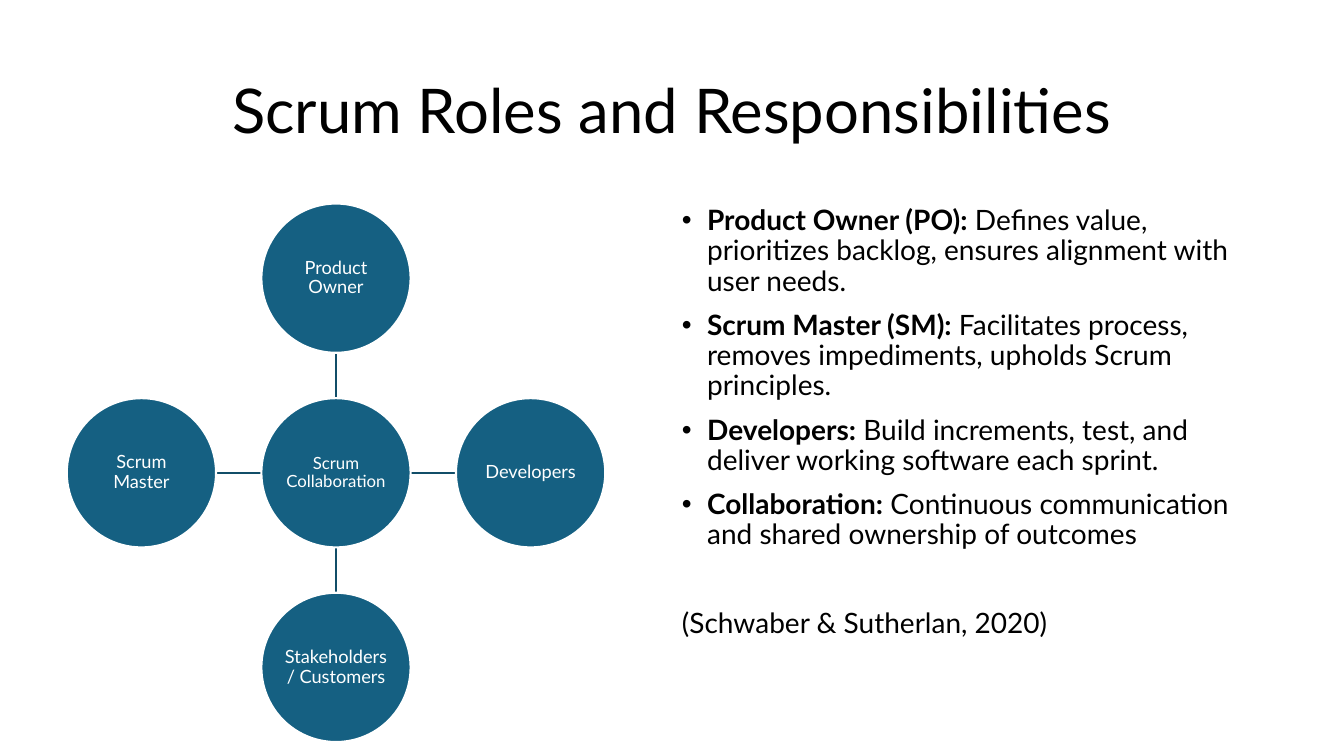
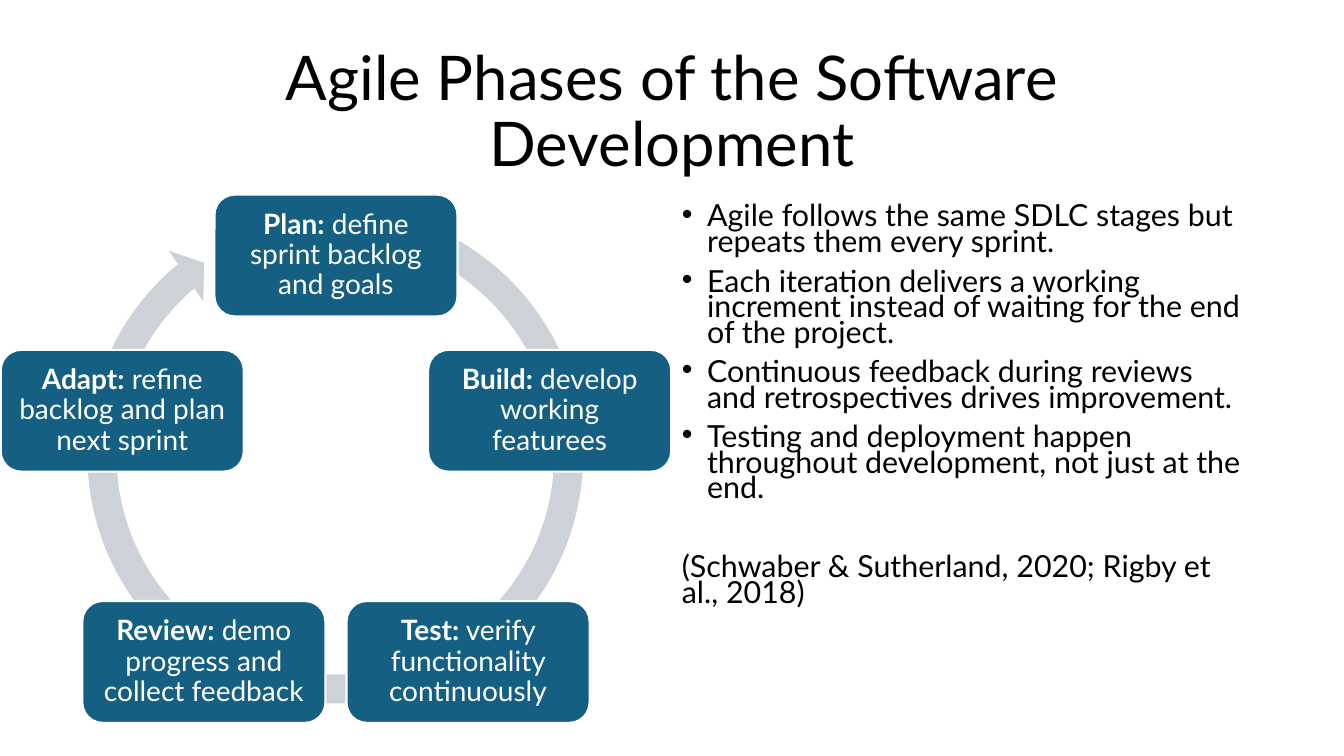
from math import cos, radians, sin

from pptx import Presentation
from pptx.dml.color import RGBColor
from pptx.enum.shapes import MSO_CONNECTOR, MSO_SHAPE
from pptx.enum.text import MSO_ANCHOR, PP_ALIGN
from pptx.oxml.ns import qn
from pptx.util import Pt
from lxml.etree import SubElement

FONT = "Lato"
BLACK = RGBColor(0x00, 0x00, 0x00)
WHITE = RGBColor(0xFF, 0xFF, 0xFF)
BLUE = RGBColor(0x15, 0x60, 0x82)
NAVY = RGBColor(0x11, 0x4D, 0x68)
GREY = RGBColor(0xCC, 0xD2, 0xD8)


def write(para, runs, size, color, space=0.9, align=PP_ALIGN.LEFT):
    para.alignment = align
    para.line_spacing = space
    for text, bold in runs:
        run = para.add_run()
        run.text = text
        run.font.name = FONT
        run.font.size = Pt(size)
        run.font.bold = bold
        run.font.color.rgb = color


def node(slide, kind, mid, dims, runs, size, inset):
    x, y = mid
    w, h = dims
    shape = slide.shapes.add_shape(kind, Pt(x - w / 2), Pt(y - h / 2), Pt(w), Pt(h))
    shape.shadow.inherit = False
    shape.fill.solid()
    shape.fill.fore_color.rgb = BLUE
    shape.line.color.rgb = WHITE
    shape.line.width = Pt(1.5)
    frame = shape.text_frame
    frame.word_wrap = True
    frame.vertical_anchor = MSO_ANCHOR.MIDDLE
    frame.margin_left = frame.margin_right = Pt(inset)
    frame.margin_top = frame.margin_bottom = Pt(inset)
    write(frame.paragraphs[0], runs, size, WHITE, align=PP_ALIGN.CENTER)


deck = Presentation()
deck.slide_width, deck.slide_height = Pt(960), Pt(540)

ROLES = [
    [("Product Owner (PO):", True),
     (" Defines value, prioritizes backlog, ensures alignment with user needs.", False)],
    [("Scrum Master (SM):", True),
     (" Facilitates process, removes impediments, upholds Scrum principles.", False)],
    [("Developers:", True),
     (" Build increments, test, and deliver working software each sprint.", False)],
    [("Collaboration:", True),
     (" Continuous communication and shared ownership of outcomes", False)],
]
POINTS = [
    [("Agile follows the same SDLC stages but repeats them every sprint.", False)],
    [("Each iteration delivers a working increment instead of waiting for the end "
      "of the project.", False)],
    [("Continuous feedback during reviews and retrospectives drives improvement.", False)],
    [("Testing and deployment happen throughout development, not just at the end.", False)],
]
PAGES = [
    ("Scrum Roles and Responsibilities", ROLES,
     "(Schwaber & Sutherlan, 2020)", 20, 0.9),
    ("Agile Phases of the Software Development", POINTS,
     "(Schwaber & Sutherland, 2020; Rigby et al., 2018)", 21.7, 0.7),
]

slides = []
for title, items, source, size, space in PAGES:
    slide = deck.slides.add_slide(deck.slide_layouts[6])
    slides.append(slide)

    head = slide.shapes.add_textbox(Pt(66), Pt(29), Pt(828), Pt(104)).text_frame
    head.word_wrap = True
    head.vertical_anchor = MSO_ANCHOR.MIDDLE
    write(head.paragraphs[0], [(title, False)], 44, BLACK, align=PP_ALIGN.CENTER)

    body = slide.shapes.add_textbox(Pt(480), Pt(144), Pt(414), Pt(340)).text_frame
    body.word_wrap = True
    for i, runs in enumerate(items):
        para = body.paragraphs[0] if i == 0 else body.add_paragraph()
        write(para, runs, size, BLACK, space)
        para.space_before = Pt(10)
        props = para._p.get_or_add_pPr()
        props.set("marL", str(Pt(18)))
        props.set("indent", str(-Pt(18)))
        SubElement(props, qn("a:buFont")).set("typeface", "Arial")
        SubElement(props, qn("a:buChar")).set("char", "•")
    para = body.add_paragraph()
    write(para, [(source, False)], size, BLACK, space)
    para.space_before = Pt(20 + size * 1.2 * space)

team, cycle = slides

HUB_X, HUB_Y, STEP, DIAM = 240, 337.7, 139, 106.6
SPOKES = [
    ("Product Owner", 0, -1),
    ("Developers", 1, 0),
    ("Stakeholders / Customers", 0, 1),
    ("Scrum Master", -1, 0),
]
near, far = DIAM / 2, STEP - DIAM / 2
for name, dx, dy in SPOKES:
    link = team.shapes.add_connector(
        MSO_CONNECTOR.STRAIGHT,
        Pt(HUB_X + dx * near), Pt(HUB_Y + dy * near),
        Pt(HUB_X + dx * far), Pt(HUB_Y + dy * far))
    link.line.color.rgb = NAVY
    link.line.width = Pt(1.5)
    SubElement(link._element.spPr, qn("a:effectLst"))
for name, dx, dy in [("Scrum Collaboration", 0, 0)] + SPOKES:
    node(team, MSO_SHAPE.OVAL, (HUB_X + dx * STEP, HUB_Y + dy * STEP), (DIAM, DIAM),
         [(name, False)], 13 if dx or dy else 12, 0.5)

ring = cycle.shapes.add_shape(MSO_SHAPE.CIRCULAR_ARROW, Pt(51), Pt(137), Pt(377), Pt(377))
ring.shadow.inherit = False
ring.fill.solid()
ring.fill.fore_color.rgb = GREY
ring.line.fill.background()
for i, value in enumerate([0.055, 3.307, 138.16, 173.616, 0.058]):
    ring.adjustments[i] = value

MID_X, MID_Y, RADIUS = 240, 343, 160.5
PHASES = [
    ("Plan:", " define sprint backlog and goals"),
    ("Build:", " develop working featurees"),
    ("Test:", " verify functionality continuously"),
    ("Review:", " demo progress and collect feedback"),
    ("Adapt:", " refine backlog and plan next sprint"),
]
for i, (name, task) in enumerate(PHASES):
    turn = radians(360 / len(PHASES) * i)
    mid = MID_X + RADIUS * sin(turn), MID_Y - RADIUS * cos(turn)
    node(cycle, MSO_SHAPE.ROUNDED_RECTANGLE, mid, (173.6, 87),
         [(name, True), (task, False)], 20, 5.5)

deck.save("out.pptx")
